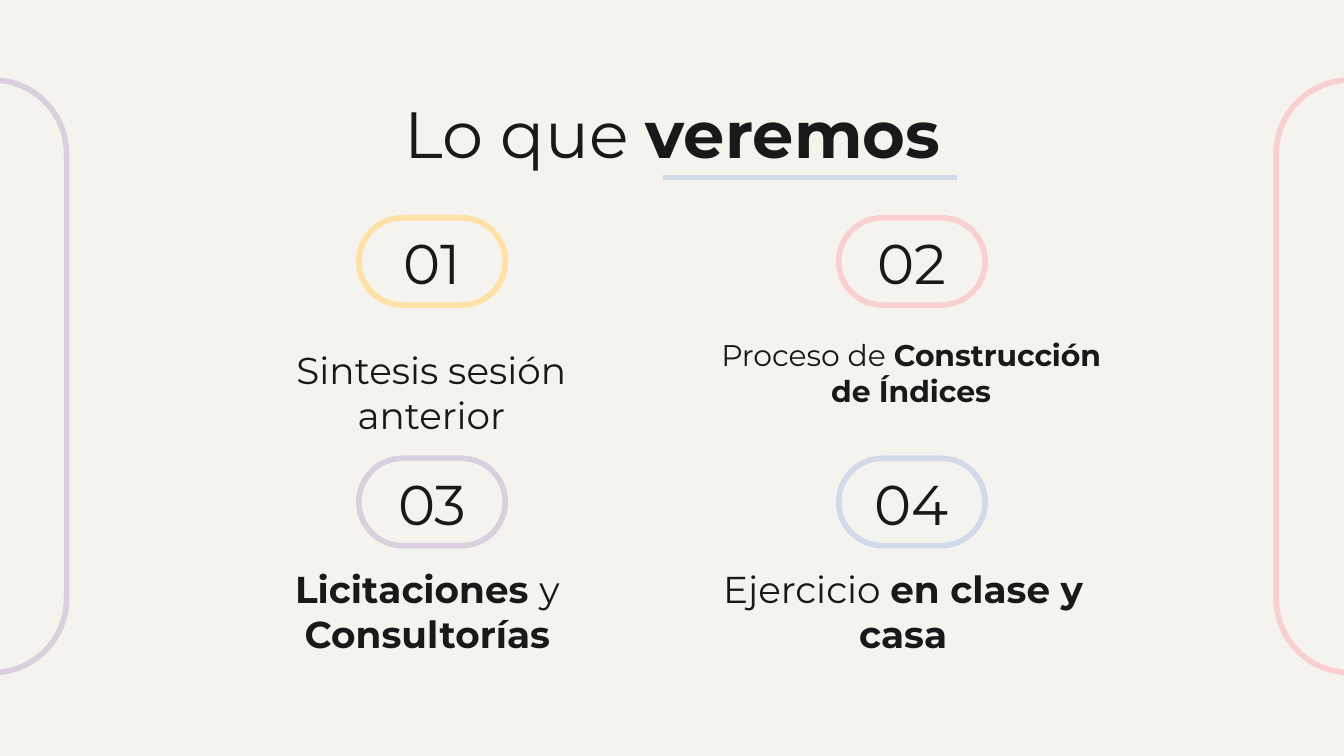
from dataclasses import dataclass

from lxml.etree import SubElement
from pptx import Presentation
from pptx.dml.color import RGBColor
from pptx.enum.shapes import MSO_CONNECTOR, MSO_SHAPE
from pptx.enum.text import MSO_ANCHOR, PP_ALIGN
from pptx.oxml.ns import qn
from pptx.util import Inches, Pt


@dataclass(frozen=True)
class Theme:
    font: str = "Montserrat"
    paper: RGBColor = RGBColor.from_string("F5F3ED")
    ink: RGBColor = RGBColor.from_string("191919")
    yellow: RGBColor = RGBColor.from_string("FFE0A7")
    pink: RGBColor = RGBColor.from_string("F9CFD0")
    lilac: RGBColor = RGBColor.from_string("D9CFDE")
    blue: RGBColor = RGBColor.from_string("D2DAE9")
    stroke: Pt = Pt(3)
    title: int = 35
    number: int = 30
    topic: int = 20
    small_topic: int = 16


theme = Theme()

# Widescreen 16:9 page
deck = Presentation()
deck.slide_width = Inches(10)
deck.slide_height = deck.slide_width * 9 // 16
page = deck.slides.add_slide(deck.slide_layouts[6])
page.background.fill.solid()
page.background.fill.fore_color.rgb = theme.paper


def add_pill(left, top, width, height, color, rotation=0):
    pill = page.shapes.add_shape(
        MSO_SHAPE.ROUNDED_RECTANGLE,
        Inches(left), Inches(top), Inches(width), Inches(height))
    pill.adjustments[0] = 0.5
    pill.rotation = rotation
    pill.shadow.inherit = False
    pill.fill.background()
    pill.line.color.rgb = color
    pill.line.width = theme.stroke


def add_text(left, top, width, height, runs, size, anchor=MSO_ANCHOR.TOP):
    box = page.shapes.add_textbox(
        Inches(left), Inches(top), Inches(width), Inches(height))
    frame = box.text_frame
    frame.word_wrap = True
    frame.vertical_anchor = anchor
    frame.margin_left = frame.margin_right = Inches(0.1)
    frame.margin_top = frame.margin_bottom = Inches(0.1)
    para = frame.paragraphs[0]
    para.alignment = PP_ALIGN.CENTER
    for text, bold in runs:
        span = para.add_run()
        span.text = text
        span.font.name = theme.font
        span.font.size = Pt(size)
        span.font.bold = bold
        span.font.color.rgb = theme.ink


# Upright side frames, running past the slide edges
for left, color in ((-2.26, theme.lilac), (7.84, theme.pink)):
    add_pill(left, 2.25, 4.41, 1.1, color, rotation=90)

# Title and its underline
add_text(0.79, 0.59, 8.43, 0.63,
         [("Lo que ", False), ("veremos", True)], theme.title)
underline = page.shapes.add_connector(
    MSO_CONNECTOR.STRAIGHT,
    Inches(4.93), Inches(1.32), Inches(7.12), Inches(1.32))
underline.line.color.rgb = theme.blue
underline.line.width = theme.stroke
SubElement(underline._element.spPr, qn("a:effectLst"))

# Topics: pill colour, text position, text size, runs
topics = [
    (theme.yellow, 1.66, 2.77, theme.topic,
     [("Sintesis sesión anterior", False)]),
    (theme.pink, 5.23, 2.56, theme.small_topic,
     [("Proceso de ", False), ("Construcción de Índices", True)]),
    (theme.lilac, 1.63, 4.4, theme.topic,
     [("Licitaciones ", True), ("y ", False), ("Consultorías", True)]),
    (theme.blue, 5.17, 4.4, theme.topic,
     [("Ejercicio ", False), ("en clase y casa", True)]),
]

# Two-by-two grid of numbered pills with their topics
for index, (color, left, top, size, runs) in enumerate(topics):
    row, column = divmod(index, 2)
    pill_left = 2.67 + 3.57 * column
    pill_top = 1.62 + 1.79 * row
    add_pill(pill_left, pill_top, 1.09, 0.65, color)
    add_text(pill_left + 0.16, pill_top - 0.02, 0.77, 0.65,
             [(f"{index + 1:02}", False)], theme.number)
    add_text(left, top, 3.1, 0.58, runs, size, MSO_ANCHOR.BOTTOM)

deck.save("out.pptx")
